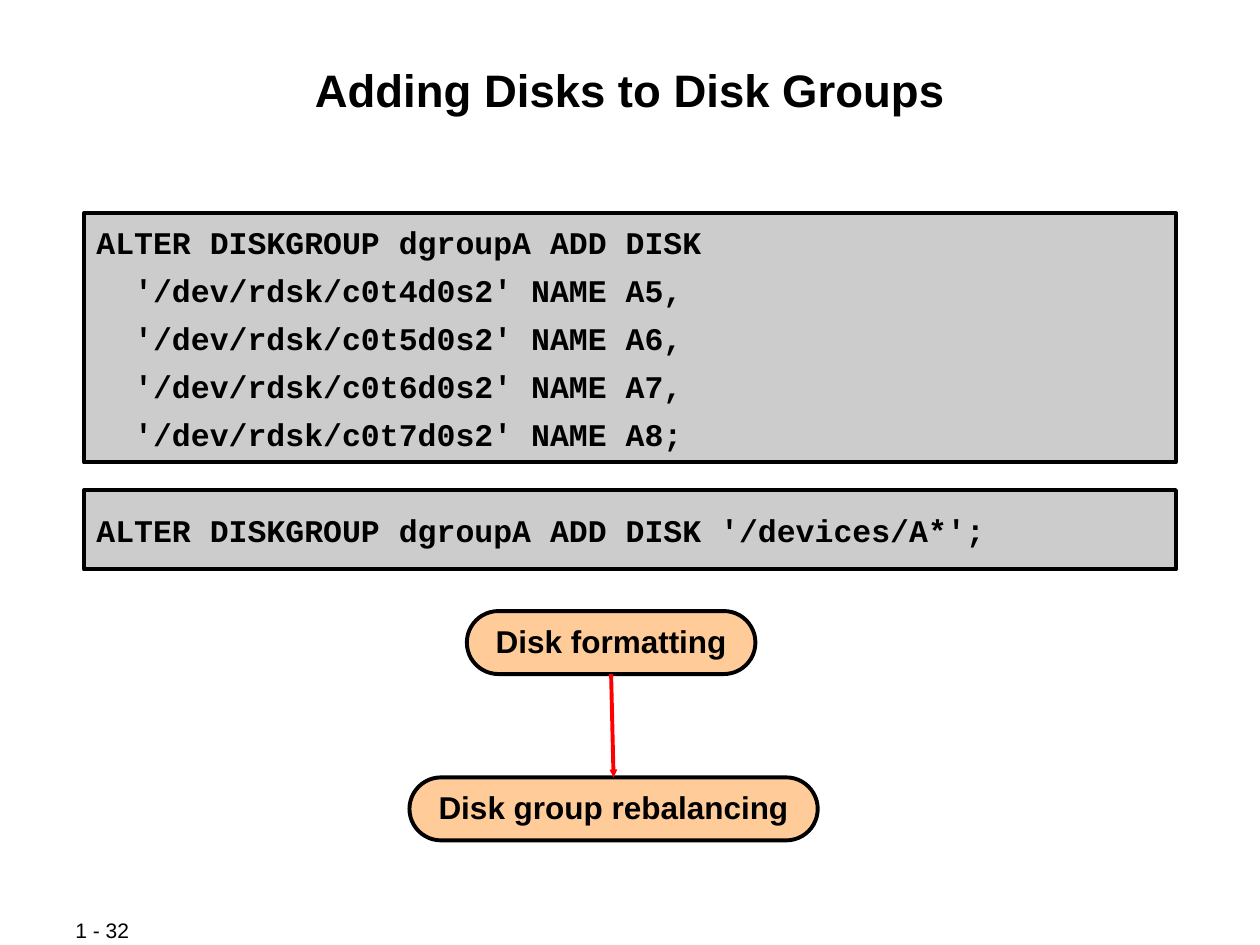
from pptx import Presentation
from pptx.dml.color import RGBColor
from pptx.enum.shapes import MSO_CONNECTOR as Connector, MSO_SHAPE as Preset
from pptx.enum.text import MSO_ANCHOR as Anchor, PP_ALIGN as Align
from pptx.oxml.ns import qn
from pptx.util import Inches, Pt
from lxml.etree import SubElement

BLACK = RGBColor(0x00, 0x00, 0x00)
WHITE = RGBColor(0xFF, 0xFF, 0xFF)
GRAY = RGBColor(0xCC, 0xCC, 0xCC)
PEACH = RGBColor(0xFF, 0xCC, 0x99)
RED = RGBColor(0xFF, 0x00, 0x00)

WIDTH, HEIGHT = 10, 7.5
MARGIN = WIDTH / 15
CONTENT_WIDTH = WIDTH - 2 * MARGIN
CODE_INDENT = Pt(21.6)
LINE_WIDTH = Pt(2.25)
BOX_GAP = 0.22

ADD_DISKS = [
    "ALTER DISKGROUP dgroupA ADD DISK",
    *(f"'/dev/rdsk/c0t{disk}d0s2' NAME A{disk + 1}{end}"
      for disk, end in zip(range(4, 8), ",,,;")),
]
ADD_BY_PATTERN = ["ALTER DISKGROUP dgroupA ADD DISK '/devices/A*';"]


def write_text(shape, lines, size=18, font="Arial", bold=True, align=Align.LEFT,
               anchor=Anchor.MIDDLE, wrap=True, inset=(0.1, 0.05),
               before=0, spacing=None, hanging=0):
    """Write lines as paragraphs in one format, indenting all after the first."""
    frame = shape.text_frame
    frame.word_wrap = wrap
    frame.vertical_anchor = anchor
    frame.margin_left = frame.margin_right = Inches(inset[0])
    frame.margin_top = frame.margin_bottom = Inches(inset[1])
    for index, line in enumerate(lines):
        paragraph = frame.add_paragraph() if index else frame.paragraphs[0]
        paragraph.alignment = align
        paragraph.space_before = Pt(before)
        if spacing:
            paragraph.line_spacing = spacing
        if index and hanging:
            paragraph._p.get_or_add_pPr().set("marL", str(int(hanging)))
        run = paragraph.add_run()
        run.text = line
        run.font.size = Pt(size)
        run.font.name = font
        run.font.bold = bold
        run.font.color.rgb = BLACK


def add_box(slide, preset, box, fill):
    """Add a filled, black-outlined preset shape."""
    shape = slide.shapes.add_shape(preset, *map(Inches, box))
    shape.shadow.inherit = False
    shape.fill.solid()
    shape.fill.fore_color.rgb = fill
    shape.line.color.rgb = BLACK
    shape.line.width = LINE_WIDTH
    return shape


def add_title(slide, text, box):
    """Place and format the title placeholder."""
    title = slide.shapes.title
    title.left, title.top, title.width, title.height = map(Inches, box)
    write_text(title, [text], size=26, align=Align.CENTER, anchor=Anchor.TOP,
               inset=(0.01, 0.01), before=6.5)


def add_code(slide, lines, box):
    """Add a gray box of code."""
    shape = add_box(slide, Preset.RECTANGLE, box, GRAY)
    write_text(shape, lines, font="Courier New", inset=(0.1, 0.01),
               before=5.75, hanging=CODE_INDENT)


def add_step(slide, text, box):
    """Add a pill-shaped process step."""
    shape = add_box(slide, Preset.ROUNDED_RECTANGLE, box, PEACH)
    shape.adjustments[0] = 0.5
    write_text(shape, [text], align=Align.CENTER, wrap=False, spacing=0.95)
    return shape


def add_arrow(slide, start, end):
    """Join the bottom of one step to the top of the next."""
    arrow = slide.shapes.add_connector(Connector.STRAIGHT, 0, 0, 0, 0)
    arrow.begin_connect(start, 2)
    arrow.end_connect(end, 0)
    arrow.line.color.rgb = RED
    arrow.line.width = LINE_WIDTH
    SubElement(arrow.line._get_or_add_ln(), qn("a:tailEnd"),
               type="triangle", w="sm", len="sm")
    SubElement(arrow._element.spPr, qn("a:effectLst"))


def add_process(slide, box):
    """Add the two steps and their arrow inside the box."""
    left, top, width, height = box
    step_height = 0.5
    first_width = 2.29
    first_left = left + (width - first_width) / 2 - 0.02
    formatting = add_step(slide, "Disk formatting",
                          (first_left, top, first_width, step_height))
    rebalancing = add_step(slide, "Disk group rebalancing",
                           (left, top + height - step_height, width, step_height))
    add_arrow(slide, formatting, rebalancing)


def add_page_number(slide, text, box):
    """Add the page number in the footer."""
    shape = slide.shapes.add_textbox(*map(Inches, box))
    write_text(shape, [text], size=12, bold=False, wrap=False)


def main():
    """Build and save the slide."""
    presentation = Presentation()
    presentation.slide_width, presentation.slide_height = Inches(WIDTH), Inches(HEIGHT)
    slide = presentation.slides.add_slide(presentation.slide_layouts[5])
    slide.background.fill.solid()
    slide.background.fill.fore_color.rgb = WHITE

    code_top, code_height = 1.69, 1.98
    add_page_number(slide, "1 - 32", (0.5, 7.28, 1.06, 0.2))
    add_title(slide, "Adding Disks to Disk Groups", (MARGIN, 0.48, CONTENT_WIDTH, 0.96))
    add_code(slide, ADD_DISKS, (MARGIN, code_top, CONTENT_WIDTH, code_height))
    add_code(slide, ADD_BY_PATTERN,
             (MARGIN, code_top + code_height + BOX_GAP, CONTENT_WIDTH, 0.63))
    add_process(slide, (3.25, 4.85, 3.24, 1.82))
    presentation.save("out.pptx")


if __name__ == "__main__":
    main()
